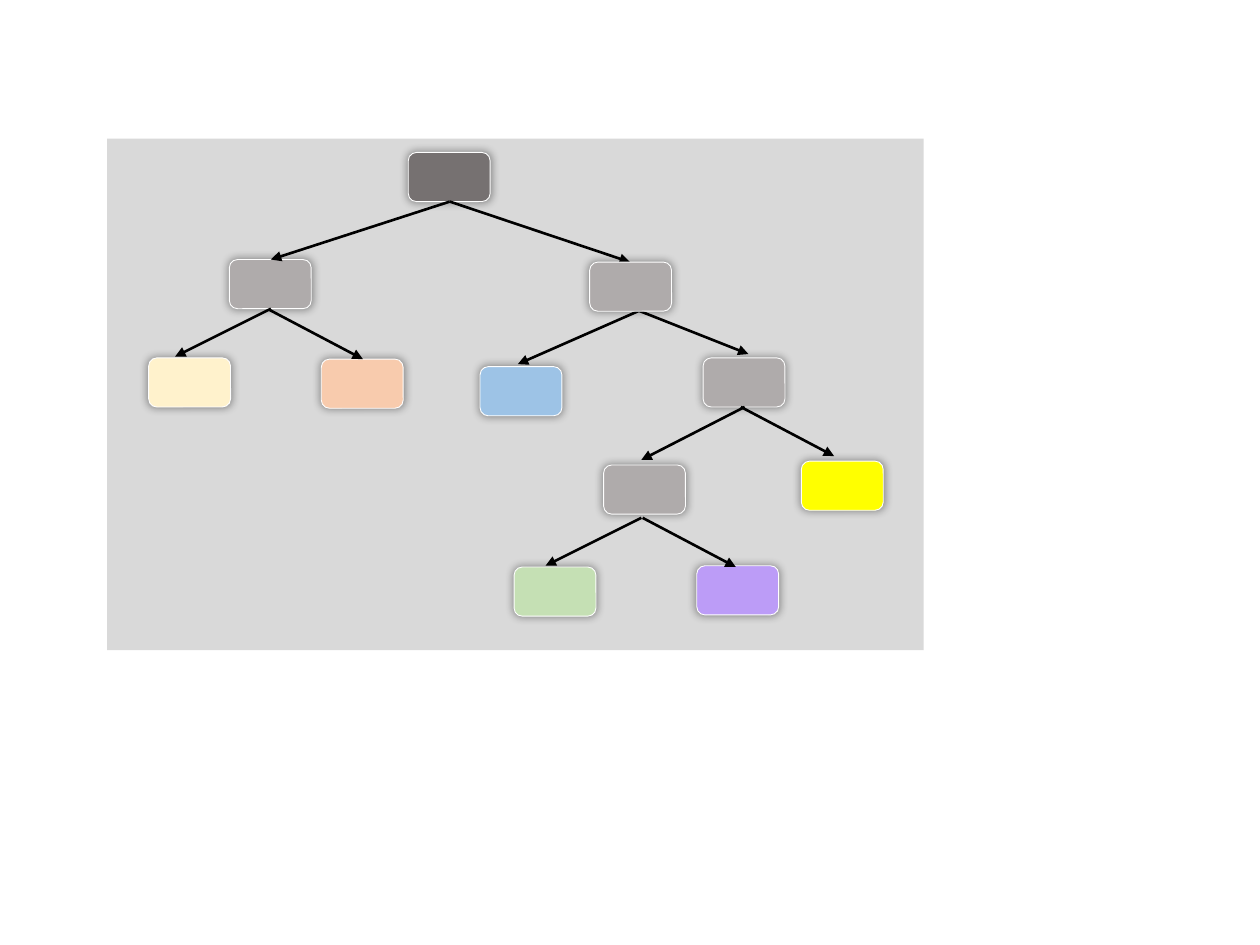
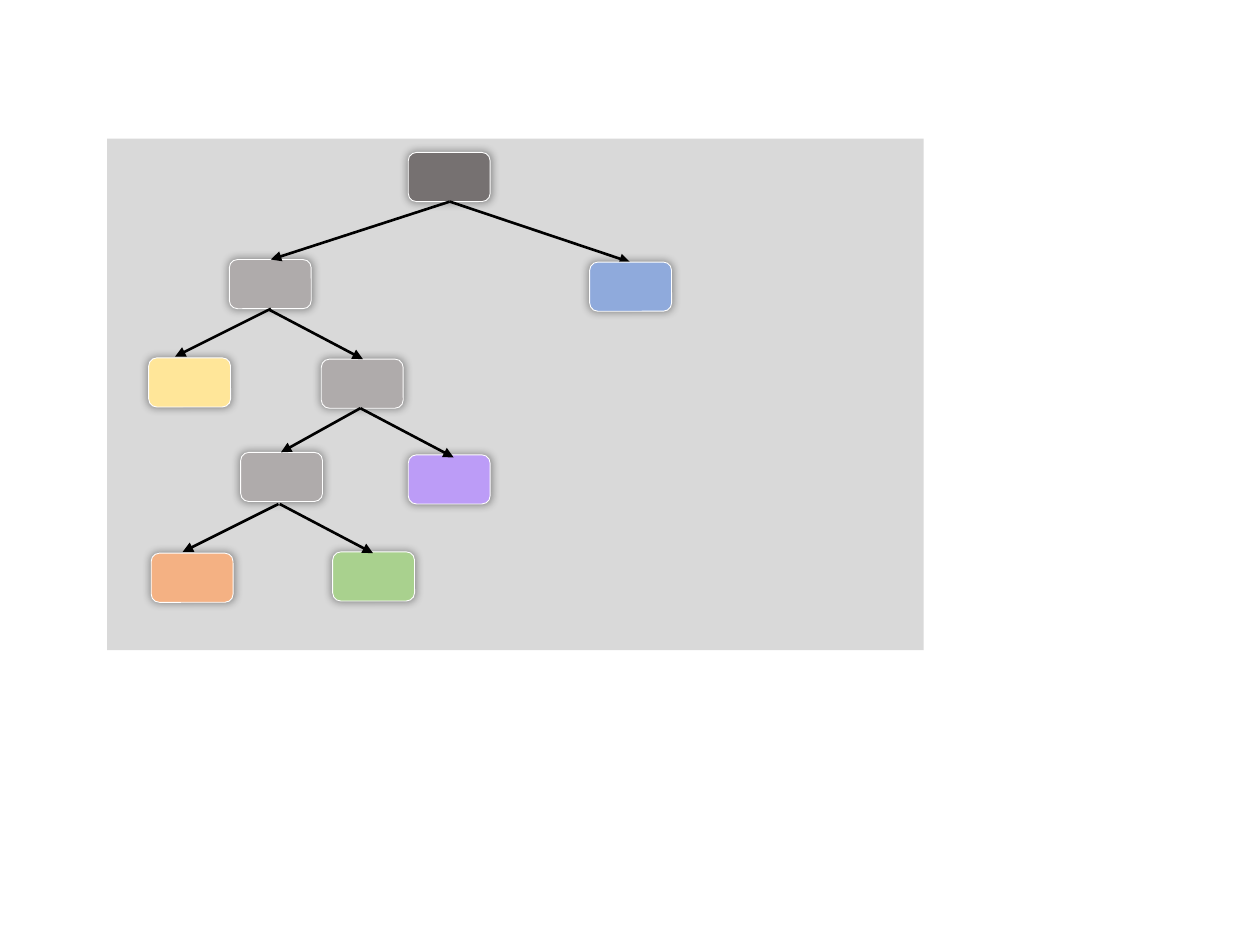
import pptx
import pptx.util
import pptx.dml.color
import pptx.enum.shapes
import pptx.oxml
import pptx.oxml.ns
from lxml import etree

Inches = pptx.util.Inches
Pt = pptx.util.Pt
RGBColor = pptx.dml.color.RGBColor
Shapes = pptx.enum.shapes.MSO_SHAPE
qn = pptx.oxml.ns.qn

WHITE = RGBColor(0xFF, 0xFF, 0xFF)
BLACK = RGBColor(0x00, 0x00, 0x00)
PANEL_GRAY = RGBColor(0xD9, 0xD9, 0xD9)
ROOT_GRAY = RGBColor(0x76, 0x71, 0x71)
BRANCH_GRAY = RGBColor(0xAF, 0xAB, 0xAB)
CREAM = RGBColor(0xFF, 0xF2, 0xCC)
PEACH = RGBColor(0xF8, 0xCB, 0xAD)
SKY = RGBColor(0x9D, 0xC3, 0xE6)
MINT = RGBColor(0xC5, 0xE0, 0xB4)
PURPLE = RGBColor(0xBC, 0x9C, 0xF7)
YELLOW = RGBColor(0xFF, 0xFF, 0x00)
GOLD = RGBColor(0xFF, 0xE6, 0x99)
ORANGE = RGBColor(0xF4, 0xB1, 0x83)
GREEN = RGBColor(0xA9, 0xD1, 0x8E)
BLUE = RGBColor(0x8F, 0xAA, 0xDC)

NODE_WIDTH, NODE_HEIGHT = 0.65, 0.39
ROOT = (3.24, 1.21)
LEFT_BRANCH = (1.82, 2.06)
RIGHT_BRANCH = (4.68, 2.08)
LEFT_OUTER = (1.18, 2.84)
LEFT_INNER = (2.55, 2.85)

SHARED_ARROWS = [
    ((3.57, 1.6), (2.15, 2.06)),
    ((3.57, 1.6), (5, 2.08)),
    ((2.15, 2.45), (1.39, 2.83)),
    ((2.14, 2.46), (2.88, 2.85)),
]

TREES = [
    {
        "nodes": [
            (LEFT_OUTER, CREAM),
            (LEFT_INNER, PEACH),
            ((3.81, 2.91), SKY),
            ((5.58, 2.84), BRANCH_GRAY),
            ((4.79, 3.69), BRANCH_GRAY),
            ((4.08, 4.5), MINT),
            ((5.53, 4.49), PURPLE),
            ((6.36, 3.66), YELLOW),
        ],
        "arrows": [
            ((5.11, 2.45), (4.11, 2.89)),
            ((5.03, 2.45), (5.94, 2.81)),
            ((5.91, 3.23), (5.09, 3.65)),
            ((5.88, 3.23), (6.62, 3.62)),
            ((5.09, 4.11), (4.33, 4.49)),
            ((5.1, 4.11), (5.84, 4.5)),
        ],
        "right_branch": BRANCH_GRAY,
    },
    {
        "nodes": [
            (LEFT_OUTER, GOLD),
            (LEFT_INNER, BRANCH_GRAY),
            ((1.91, 3.59), BRANCH_GRAY),
            ((1.2, 4.39), ORANGE),
            ((2.64, 4.38), GREEN),
            ((3.24, 3.61), PURPLE),
        ],
        "arrows": [
            ((2.86, 3.24), (2.23, 3.59)),
            ((2.86, 3.24), (3.6, 3.63)),
            ((2.21, 4), (1.45, 4.38)),
            ((2.22, 4), (2.96, 4.39)),
        ],
        "right_branch": BLUE,
    },
]


class TreeDeck:
    def __init__(self):
        self.deck = pptx.Presentation()
        self.deck.slide_width = Inches(10)
        self.deck.slide_height = Inches(7.5)
        self.slide = None

    def new_slide(self):
        self.slide = self.deck.slides.add_slide(self.deck.slide_layouts[6])

    def box(self, preset, left, top, width, height, color):
        box = self.slide.shapes.add_shape(
            preset, Inches(left), Inches(top), Inches(width), Inches(height))
        box.shadow.inherit = False
        box.fill.solid()
        box.fill.fore_color.rgb = color
        return box

    def panel(self):
        panel = self.box(Shapes.RECTANGLE, 0.85, 1.1, 6.48, 4.06, PANEL_GRAY)
        panel.line.fill.background()

    def node(self, corner, color):
        node = self.box(Shapes.ROUNDED_RECTANGLE, *corner, NODE_WIDTH, NODE_HEIGHT, color)
        node.line.color.rgb = WHITE
        node.line.width = Pt(0.5)
        effects = node._element.spPr.find(qn("a:effectLst"))
        shadow = etree.SubElement(effects, qn("a:outerShdw"), blurRad="63500",
                                  sx="102000", sy="102000", algn="ctr", rotWithShape="0")
        black = etree.SubElement(shadow, qn("a:srgbClr"), val="000000")
        etree.SubElement(black, qn("a:alpha"), val="40000")

    def arrow(self, start, end):
        arrow = self.slide.shapes.add_connector(
            pptx.enum.shapes.MSO_CONNECTOR.STRAIGHT,
            *(Inches(length) for length in start + end))
        arrow.line.color.rgb = BLACK
        arrow.line.width = Pt(1.5)
        properties = arrow._element.spPr
        etree.SubElement(properties.find(qn("a:ln")), qn("a:tailEnd"), type="triangle")
        etree.SubElement(properties, qn("a:effectLst"))

    def tree(self, nodes, arrows, right_branch):
        self.new_slide()
        self.panel()
        for corner, color in [(ROOT, ROOT_GRAY), (LEFT_BRANCH, BRANCH_GRAY)] + nodes:
            self.node(corner, color)
        for start, end in SHARED_ARROWS + arrows:
            self.arrow(start, end)
        self.node(RIGHT_BRANCH, right_branch)


def main():
    trees = TreeDeck()
    for tree in TREES:
        trees.tree(**tree)
    trees.deck.save("out.pptx")


if __name__ == "__main__":
    main()
